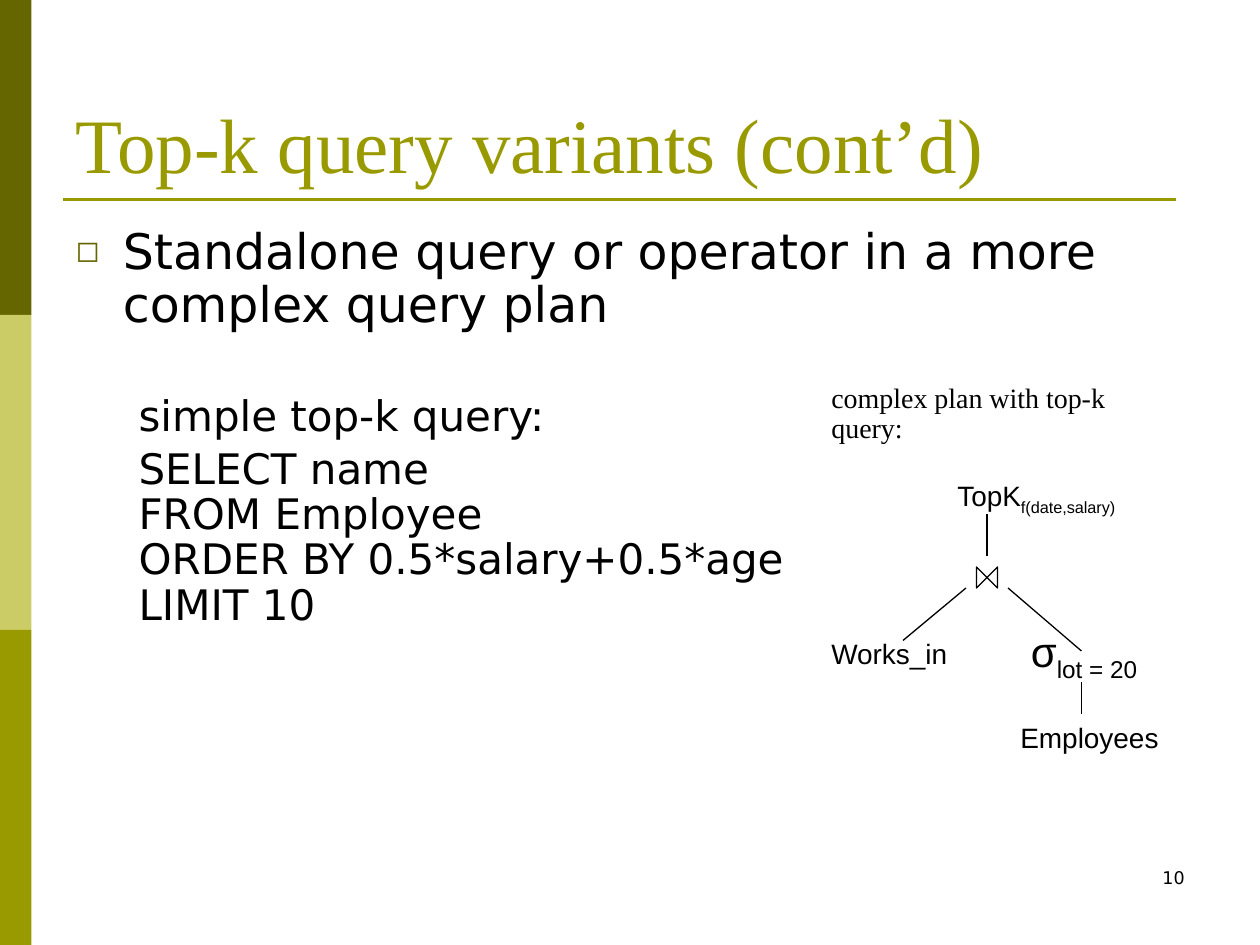
from dataclasses import dataclass

from lxml.etree import SubElement
from pptx import Presentation
from pptx.dml.color import RGBColor
from pptx.enum.shapes import MSO_CONNECTOR, MSO_SHAPE
from pptx.enum.text import MSO_ANCHOR, MSO_AUTO_SIZE, PP_ALIGN
from pptx.oxml.ns import qn
from pptx.util import Pt

PX = 9525  # EMU per px, 96 px to the inch
COLORS = {"dark": "666600", "light": "CCCC66", "olive": "999900", "black": "000000"}
SANS, SERIF, ARIAL = "DejaVu Sans", "Times New Roman", "Arial"


@dataclass
class Label:
    text: str
    x: int
    y: int
    w: int
    h: int
    size: int = 16
    font: str = ARIAL
    sub: str = ""
    wrap: bool = False


@dataclass
class Line:
    x1: int
    y1: int
    x2: int
    y2: int
    color: str = "black"
    width: float = 0.75


def px(*lengths: int) -> list[int]:
    return [n * PX for n in lengths]


def rgb(name: str) -> RGBColor:
    return RGBColor.from_string(COLORS[name])


def style(p, size: int, font: str, color: str = "black") -> None:
    for r in p.runs:
        r.font.size, r.font.name = Pt(size), font
        r.font.color.rgb = rgb(color)


def indent(p, left: int, first: int = 0) -> None:
    pPr = p._p.get_or_add_pPr()
    pPr.set("marL", str(left * PX))
    pPr.set("indent", str(first * PX))


def place(sp, x: int, y: int, w: int, h: int) -> None:
    sp.left, sp.top, sp.width, sp.height = px(x, y, w, h)


def add_label(slide, label: Label):
    tf = slide.shapes.add_textbox(*px(label.x, label.y, label.w, label.h)).text_frame
    tf.word_wrap = label.wrap
    p = tf.paragraphs[0]
    p.text = label.text
    if label.sub:
        r = p.add_run()
        r.text = label.sub
        r._r.get_or_add_rPr().set("baseline", "-25000")
    style(p, label.size, label.font)
    return p


def add_line(slide, line: Line) -> None:
    c = slide.shapes.add_connector(
        MSO_CONNECTOR.STRAIGHT, *px(line.x1, line.y1, line.x2, line.y2))
    c.line.color.rgb, c.line.width = rgb(line.color), Pt(line.width)
    SubElement(c._element.spPr, qn("a:effectLst"))


def add_bullet(p) -> None:
    pPr = p._p.get_or_add_pPr()
    clr = SubElement(pPr, qn("a:buClr"))
    SubElement(clr, qn("a:srgbClr"), val=COLORS["dark"])
    SubElement(pPr, qn("a:buSzPct"), val="60000")
    SubElement(pPr, qn("a:buFont"), typeface=SANS)
    SubElement(pPr, qn("a:buChar"), char="◻")


def add_sidebar(slide) -> None:
    for i, color in enumerate(("dark", "light", "olive")):
        sp = slide.shapes.add_shape(MSO_SHAPE.RECTANGLE, *px(0, 240 * i, 24, 240))
        sp.shadow.inherit = False
        sp.fill.solid()
        sp.fill.fore_color.rgb = rgb(color)
        sp.line.fill.background()


def fill_title(title) -> None:
    place(title, 48, 29, 864, 120)
    tf = title.text_frame
    tf.text = "Top-k query variants (cont’d)"
    tf.vertical_anchor, tf.auto_size = MSO_ANCHOR.BOTTOM, MSO_AUTO_SIZE.NONE
    p = tf.paragraphs[0]
    p.alignment = PP_ALIGN.LEFT
    style(p, 44, SERIF, "olive")


def fill_body(body) -> None:
    place(body, 48, 168, 864, 512)
    tf = body.text_frame
    tf.auto_size = MSO_AUTO_SIZE.NONE
    # text, level, size, space before
    items = [
        ("Standalone query or operator in a more complex query plan", 0, 28, 6),
        ("simple top-k query:", 1, 24, 36),
        ("SELECT name\vFROM Employee\vORDER BY 0.5*salary+0.5*age\vLIMIT 10", 1, 24, 4),
    ]
    for i, (text, level, size, before) in enumerate(items):
        p = tf.add_paragraph() if i else tf.paragraphs[0]
        p.text, p.level = text, level
        p.line_spacing, p.space_before = 0.9, Pt(before)
        style(p, size, SANS)
        if level:
            indent(p, 48)
            SubElement(p._p.get_or_add_pPr(), qn("a:buNone"))
        else:
            indent(p, 36, -36)
            add_bullet(p)


def add_plan(slide) -> None:
    # Operators and tables
    for label in (
        Label("Works_in", 624, 480, 108, 35),
        Label("Employees", 768, 544, 132, 35),
        Label("σ", 776, 472, 109, 48, size=24, sub="lot = 20"),
        Label("TopK", 720, 360, 153, 35, sub="f(date,salary)"),
    ):
        # Left-aligned text stays at the left edge of a box wide enough for it
        label.wrap = label.text == "Employees"
        add_label(slide, label)
    # Join symbol
    join = slide.shapes.add_shape(MSO_SHAPE.FLOWCHART_COLLATE, *px(744, 432, 16, 16))
    join.rotation = 270
    join.shadow.inherit = False
    join.fill.background()
    join.line.color.rgb, join.line.width = rgb("black"), Pt(0.75)
    # Tree edges
    for edge in (
        Line(752, 424, 752, 392),
        Line(736, 448, 688, 488),
        Line(768, 448, 824, 496),
        Line(824, 544, 824, 520),
    ):
        add_line(slide, edge)
    # Caption
    p = add_label(slide, Label("complex plan with top-k query:", 576, 288, 291, 56,
                               font=SERIF, wrap=True))
    p.line_spacing = 0.9
    indent(p, 48)


def main() -> None:
    prs = Presentation()
    prs.slide_width, prs.slide_height = px(960, 720)
    slide = prs.slides.add_slide(prs.slide_layouts[1])
    add_sidebar(slide)
    add_line(slide, Line(48, 152, 896, 152, "olive", 1.5))
    fill_title(slide.shapes.title)
    fill_body(slide.placeholders[1])
    add_plan(slide)
    # Slide number
    number = add_label(slide, Label("10", 688, 656, 224, 48, 10, SANS, wrap=True))
    number.alignment = PP_ALIGN.RIGHT
    prs.save("out.pptx")


if __name__ == "__main__":
    main()
